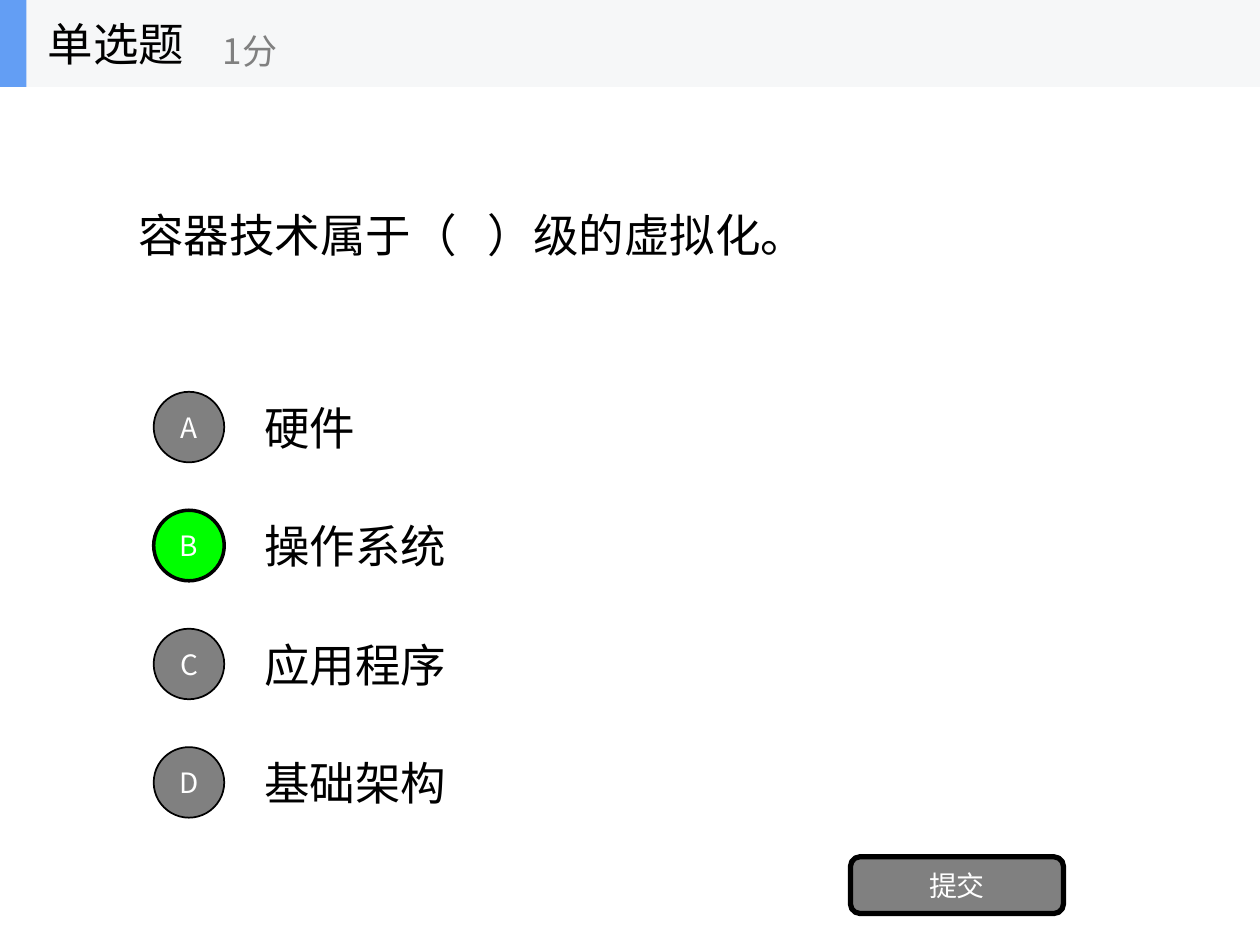
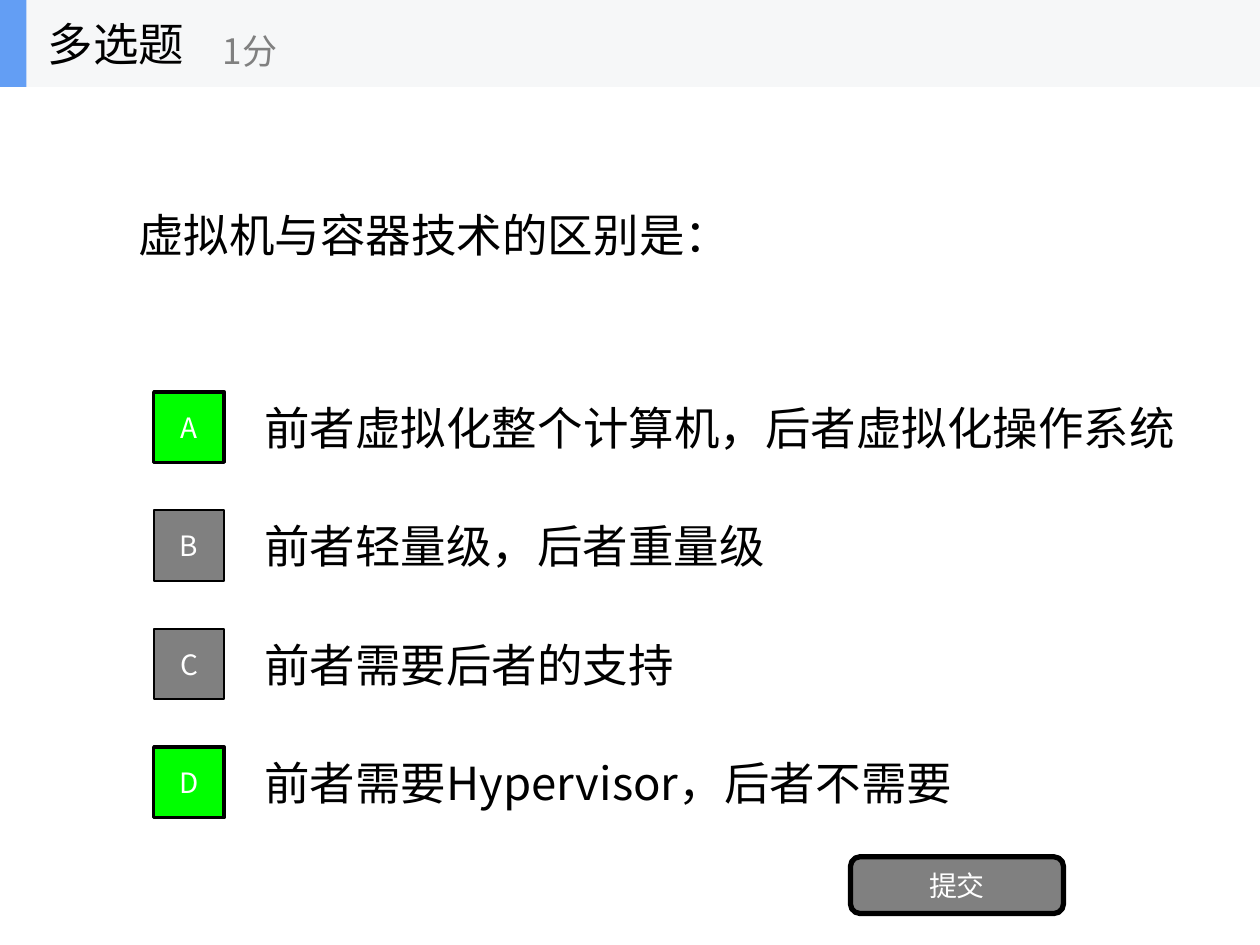
from dataclasses import dataclass

import lxml.etree
import pptx
import pptx.dml.color
import pptx.enum.shapes
import pptx.enum.text
import pptx.oxml.ns
import pptx.shapes.autoshape
import pptx.slide
import pptx.util

Inches = pptx.util.Inches
RGBColor = pptx.dml.color.RGBColor
ShapeKind = pptx.enum.shapes.MSO_SHAPE
Align = pptx.enum.text.PP_ALIGN

FONT = "Noto Sans CJK SC"
BLACK = RGBColor(0x00, 0x00, 0x00)
WHITE = RGBColor(0xFF, 0xFF, 0xFF)
GRAY = RGBColor(0x80, 0x80, 0x80)
GREEN = RGBColor(0x00, 0xFF, 0x00)
BAND = RGBColor(0xF6, 0xF7, 0xF8)
ACCENT = RGBColor(0x63, 0x9E, 0xF4)

TEXT_SIZE = 26
POINTS_SIZE = 20
BUTTON_SIZE = 16

SLIDE_WIDTH = 10
HEADER_HEIGHT = 0.69
FIRST_OPTION_TOP = 3.04
OPTION_PITCH = 0.94
OPTION_HEIGHT = 0.7
MARKER_SIZE = 0.56


@dataclass(frozen=True)
class Area:
    """A rectangle on the slide, in inches."""
    left: float
    top: float
    width: float
    height: float

    def lengths(self) -> list[pptx.util.Length]:
        return [Inches(n) for n in (self.left, self.top, self.width, self.height)]


@dataclass(frozen=True)
class Option:
    text: str
    correct: bool = False
    width: float = 7


@dataclass(frozen=True)
class Question:
    kind: str
    points: str
    text: str
    marker: ShapeKind
    options: list[Option]


QUESTIONS = [
    Question("单选题", "1分", "容器技术属于（   ）级的虚拟化。", ShapeKind.OVAL, [
        Option("硬件"),
        Option("操作系统", correct=True),
        Option("应用程序"),
        Option("基础架构"),
    ]),
    Question("多选题", "1分", "虚拟机与容器技术的区别是：", ShapeKind.RECTANGLE, [
        Option("前者虚拟化整个计算机，后者虚拟化操作系统", correct=True, width=7.65),
        Option("前者轻量级，后者重量级"),
        Option("前者需要后者的支持"),
        Option("前者需要Hypervisor，后者不需要", correct=True),
    ]),
]


def write(box: pptx.shapes.autoshape.Shape, text: str, size: int, color: RGBColor,
          align: Align = Align.LEFT, wrap: bool = True) -> None:
    """Fill a box with one vertically centred line of text."""
    frame = box.text_frame
    frame.auto_size = pptx.enum.text.MSO_AUTO_SIZE.NONE
    frame.word_wrap = wrap
    frame.vertical_anchor = pptx.enum.text.MSO_ANCHOR.MIDDLE
    para = frame.paragraphs[0]
    para.alignment = align
    span = para.add_run()
    span.text = text
    span.font.size = pptx.util.Pt(size)
    span.font.color.rgb = color
    span.font.name = FONT
    properties = span._r.get_or_add_rPr()
    lxml.etree.SubElement(properties, pptx.oxml.ns.qn("a:ea"), typeface=FONT)


def add_text(page: pptx.slide.Slide, area: Area, text: str, size: int = TEXT_SIZE,
             color: RGBColor = BLACK, wrap: bool = True) -> None:
    write(page.shapes.add_textbox(*area.lengths()), text, size, color, wrap=wrap)


def add_block(page: pptx.slide.Slide, kind: ShapeKind, area: Area, fill: RGBColor,
              line_width: float = 0) -> pptx.shapes.autoshape.Shape:
    """Add a filled shape; a line width of zero means no outline."""
    block = page.shapes.add_shape(kind, *area.lengths())
    block.shadow.inherit = False
    block.fill.solid()
    block.fill.fore_color.rgb = fill
    if line_width:
        block.line.color.rgb = BLACK
        block.line.width = pptx.util.Pt(line_width)
    else:
        block.line.fill.background()
    return block


def add_button(page: pptx.slide.Slide, kind: ShapeKind, area: Area, label: str,
               fill: RGBColor, line_width: float) -> None:
    button = add_block(page, kind, area, fill, line_width)
    write(button, label, BUTTON_SIZE, WHITE, Align.CENTER)


def add_header(page: pptx.slide.Slide, kind: str, points: str) -> None:
    add_block(page, ShapeKind.RECTANGLE, Area(0, 0, SLIDE_WIDTH, HEADER_HEIGHT), BAND)
    add_block(page, ShapeKind.RECTANGLE, Area(0, 0, 0.21, HEADER_HEIGHT), ACCENT)
    title = page.shapes.title
    title.left, title.top, title.width, title.height = Area(
        0.28, 0, 2.08, HEADER_HEIGHT).lengths()
    write(title, kind, TEXT_SIZE, BLACK, wrap=False)
    # The title must lie in front of the band.
    page.shapes.element.append(title.element)
    add_text(page, Area(1.67, 0.12, 2.5, 0.56), points, POINTS_SIZE, GRAY, wrap=False)


def add_options(page: pptx.slide.Slide, question: Question) -> None:
    for index, (letter, option) in enumerate(zip("ABCD", question.options)):
        top = FIRST_OPTION_TOP + index * OPTION_PITCH
        add_text(page, Area(2, top, option.width, OPTION_HEIGHT), option.text)
        marker_top = top + (OPTION_HEIGHT - MARKER_SIZE) / 2
        add_button(page, question.marker,
                   Area(1.22, marker_top, MARKER_SIZE, MARKER_SIZE), letter,
                   GREEN if option.correct else GRAY, 2 if option.correct else 1)


def add_question(deck: pptx.presentation.Presentation, question: Question) -> None:
    page = deck.slides.add_slide(deck.slide_layouts.get_by_name("Title Only"))
    add_text(page, Area(1, HEADER_HEIGHT, 8, 2.34), question.text)
    add_options(page, question)
    add_button(page, ShapeKind.ROUNDED_RECTANGLE, Area(6.75, 6.8, 1.69, 0.45),
               "提交", GRAY, 3)
    add_header(page, question.kind, question.points)


def main() -> None:
    deck = pptx.Presentation()
    deck.slide_width = Inches(SLIDE_WIDTH)
    deck.slide_height = Inches(7.5)
    for question in QUESTIONS:
        add_question(deck, question)
    deck.save("out.pptx")


if __name__ == "__main__":
    main()
